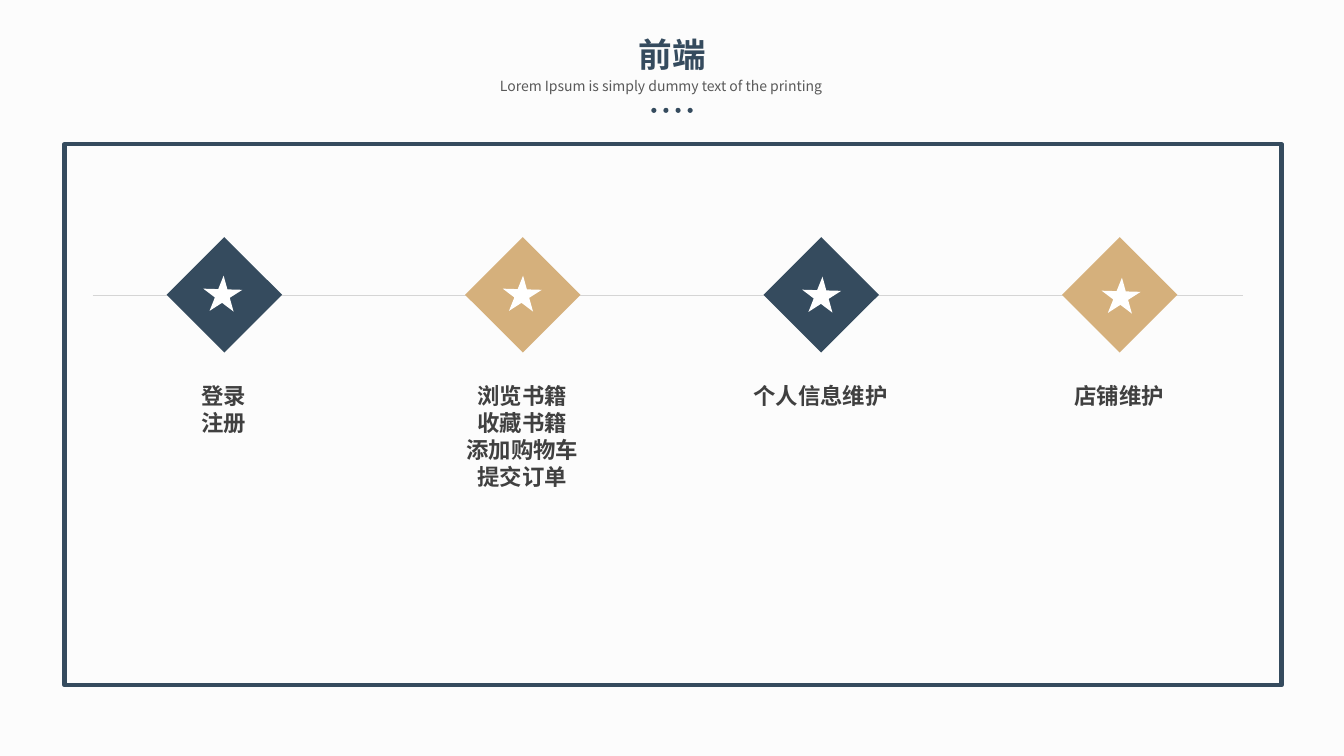
from lxml.etree import SubElement
from pptx import Presentation
from pptx.dml.color import RGBColor
from pptx.enum.shapes import MSO_CONNECTOR, MSO_SHAPE
from pptx.enum.text import MSO_ANCHOR, MSO_AUTO_SIZE, PP_ALIGN
from pptx.oxml.ns import qn
from pptx.util import Inches, Pt

NAVY = RGBColor(0x35, 0x4B, 0x5E)
GOLD = RGBColor(0xD5, 0xB0, 0x7C)
WHITE = RGBColor(0xFF, 0xFF, 0xFF)
PAPER = RGBColor(0xFC, 0xFC, 0xFC)
RULE = RGBColor(0xD5, 0xD5, 0xD5)
DARK = RGBColor(0x40, 0x40, 0x40)
GRAY = RGBColor(0x59, 0x59, 0x59)
FONT = "Noto Sans CJK SC"


def add_solid(kind, left, top, size, color, rotation=0):
    shape = page.shapes.add_shape(kind, Inches(left), Inches(top), Inches(size), Inches(size))
    shape.shadow.inherit = False
    shape.fill.solid()
    shape.fill.fore_color.rgb = color
    shape.line.fill.background()
    shape.rotation = rotation


def write_text(box, place, lines, size, color, bold=True, align=PP_ALIGN.CENTER):
    box.left, box.top, box.width, box.height = [Inches(length) for length in place]
    frame = box.text_frame
    frame_format = {
        "word_wrap": True,
        "auto_size": MSO_AUTO_SIZE.NONE,
        "vertical_anchor": MSO_ANCHOR.TOP,
        "margin_left": Inches(0.1),
        "margin_right": Inches(0.1),
        "margin_top": Inches(0.05 + size / 800),
        "margin_bottom": 0,
    }
    for name, value in frame_format.items():
        setattr(frame, name, value)
    for index, line in enumerate(lines):
        para = frame.add_paragraph() if index else frame.paragraphs[0]
        para_format = {
            "alignment": align,
            "line_spacing": Pt(size * 1.2),
            "space_before": Pt(0),
            "space_after": Pt(0),
        }
        for name, value in para_format.items():
            setattr(para, name, value)
        span = para.add_run()
        span.text = line
        for name, value in {"name": FONT, "size": Pt(size), "bold": bold}.items():
            setattr(span.font, name, value)
        span.font.color.rgb = color
        SubElement(span.font._element, qn("a:ea")).set("typeface", FONT)


deck = Presentation()
deck.slide_width, deck.slide_height = Inches(13.33), Inches(7.5)
page = deck.slides.add_slide(deck.slide_layouts[5])
page.background.fill.solid()
page.background.fill.fore_color.rgb = PAPER

write_text(page.shapes.title, (4.31, 0.26, 4.72, 0.5), ["前端"], 24, NAVY)
subtitle = page.shapes.add_textbox(0, 0, 0, 0)
write_text(subtitle, (4.86, 0.71, 3.61, 0.27),
           ["Lorem Ipsum is simply dummy text of the printing"],
           10, GRAY, bold=False, align=PP_ALIGN.LEFT)
for index in range(4):
    add_solid(MSO_SHAPE.OVAL, 6.46 + 0.12 * index, 1.07, 0.05, NAVY)

border = page.shapes.add_shape(
    MSO_SHAPE.RECTANGLE, Inches(0.64), Inches(1.43), Inches(12.07), Inches(5.37))
border.shadow.inherit = False
border.fill.background()
border.line.color.rgb = NAVY
border.line.width = Pt(3)

timeline = page.shapes.add_connector(
    MSO_CONNECTOR.STRAIGHT, Inches(0.92), Inches(2.93), Inches(12.33), Inches(2.93))
timeline.line.color.rgb = RULE
timeline.line.width = Pt(1)
SubElement(timeline._element.spPr, qn("a:effectLst"))

steps = [
    (NAVY, 2.74, ["登录", "注册"]),
    (GOLD, 2.74, ["浏览书籍", "收藏书籍", "添加购物车", "提交订单"]),
    (NAVY, 2.75, ["个人信息维护"]),
    (GOLD, 2.76, ["店铺维护"]),
]
for index, (color, star_top, lines) in enumerate(steps):
    shift = 2.96 * index
    add_solid(MSO_SHAPE.RECTANGLE, 1.82 + shift, 2.52, 0.81, color, 45)
    add_solid(MSO_SHAPE.STAR_5_POINT, 2.04 + 2.97 * index, star_top, 0.37, WHITE, 74.5)
    label = page.shapes.add_textbox(0, 0, 0, 0)
    write_text(label, (1.1 + shift, 3.72, 2.24, 0.1 + 0.27 * len(lines)), lines, 16, DARK)

deck.save("out.pptx")
